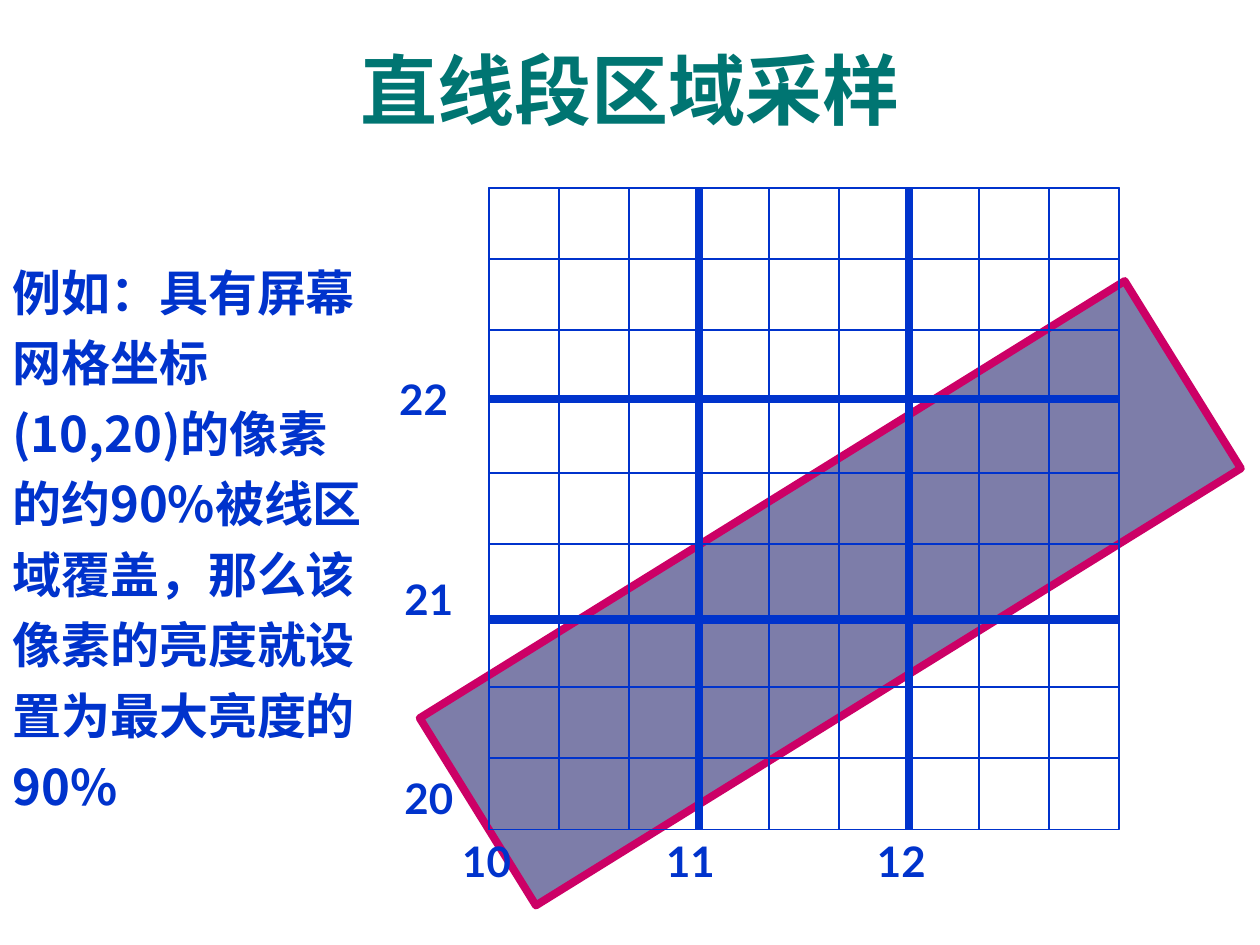
from lxml.etree import SubElement
from pptx import Presentation
from pptx.dml.color import RGBColor
from pptx.enum.shapes import MSO_CONNECTOR, MSO_SHAPE
from pptx.enum.text import MSO_ANCHOR, MSO_AUTO_SIZE, PP_ALIGN
from pptx.oxml.ns import qn
from pptx.util import Pt

COLORS = {"title": "007572", "blue": "0033CC", "band": "7D7DA9", "edge": "CC0066"}
CJK_FONT = "Noto Sans CJK SC"

GRID_LEFT, GRID_TOP = 279.5, 107.25
CELL_WIDTH, CELL_HEIGHT = 40, 40.75
CELLS = 9
GRID_RIGHT = GRID_LEFT + CELLS * CELL_WIDTH
GRID_BOTTOM = GRID_TOP + CELLS * CELL_HEIGHT

PIXEL_COLUMNS = [GRID_LEFT + 3 * CELL_WIDTH, GRID_LEFT + 6 * CELL_WIDTH]
PIXEL_ROWS = [228.25, 354.25]
AXIS_LABELS = [
    ("20", 224, 438), ("21", 224, 324), ("22", 221, 210),
    ("10", 257, 474), ("11", 373.5, 474), ("12", 494, 474),
]


def rgb(name):
    return RGBColor.from_string(COLORS[name])


def add_rectangle(shapes, left, top, width, height, line_color, line_width, fill=None):
    rectangle = shapes.add_shape(
        MSO_SHAPE.RECTANGLE, Pt(left), Pt(top), Pt(width), Pt(height))
    rectangle.shadow.inherit = False
    if fill:
        rectangle.fill.solid()
        rectangle.fill.fore_color.rgb = rgb(fill)
    else:
        rectangle.fill.background()
    rectangle.line.color.rgb = rgb(line_color)
    rectangle.line.width = Pt(line_width)
    return rectangle


def add_line(shapes, x1, y1, x2, y2, width):
    line = shapes.add_connector(
        MSO_CONNECTOR.STRAIGHT, Pt(x1), Pt(y1), Pt(x2), Pt(y2))
    line.line.color.rgb = rgb("blue")
    line.line.width = Pt(width)
    SubElement(line._element.spPr, qn("a:effectLst"))


def add_horizontal(shapes, y, width):
    add_line(shapes, GRID_LEFT, y, GRID_RIGHT, y, width)


def add_vertical(shapes, x, width):
    add_line(shapes, x, GRID_TOP, x, GRID_BOTTOM, width)


def add_text(shapes, text, left, top, width, height, size, font, color="blue", wrap=True):
    frame = shapes.add_textbox(Pt(left), Pt(top), Pt(width), Pt(height)).text_frame
    frame.word_wrap = wrap
    frame.auto_size = MSO_AUTO_SIZE.SHAPE_TO_FIT_TEXT
    frame.text = text
    run = frame.paragraphs[0].runs[0]
    run.font.size = Pt(size)
    run.font.bold = True
    run.font.color.rgb = rgb(color)
    run.font.name = font
    SubElement(run.font._element, qn("a:ea"), typeface=CJK_FONT)
    return frame


def add_grid(shapes):
    for row in range(CELLS):
        for column in range(CELLS):
            add_rectangle(shapes, GRID_LEFT + column * CELL_WIDTH,
                          GRID_TOP + row * CELL_HEIGHT,
                          CELL_WIDTH, CELL_HEIGHT, "blue", 0.75)
    for index in range(CELLS + 1):
        add_horizontal(shapes, GRID_TOP + index * CELL_HEIGHT, 1)
        add_vertical(shapes, GRID_LEFT + index * CELL_WIDTH, 1)
    for x in PIXEL_COLUMNS:
        add_vertical(shapes, x, 4.5)
    for y in PIXEL_ROWS:
        add_horizontal(shapes, y, 4.5)


def main():
    presentation = Presentation()
    presentation.slide_width, presentation.slide_height = Pt(720), Pt(540)
    slide = presentation.slides.add_slide(presentation.slide_layouts[6])

    title = add_text(slide.shapes, "直线段区域采样", 60, 20, 600, 60.5, 44,
                     "Times New Roman", "title")
    title.vertical_anchor = MSO_ANCHOR.BOTTOM
    title.paragraphs[0].alignment = PP_ALIGN.CENTER

    diagram = slide.shapes.add_group_shape().shapes
    line_band = add_rectangle(diagram, 237.5, 276, 474, 126, "edge", 4.5, "band")
    line_band.rotation = 328.2
    add_grid(diagram)
    for label, left, top in AXIS_LABELS:
        add_text(diagram, label, left, top, 42.5, 36, 24, "Lato", wrap=False)

    explanation = add_text(
        slide.shapes,
        "例如：具有屏幕网格坐标(10,20)的像素的约90%被线区域覆盖，那么该像素的亮度就设置为最大亮度的90%",
        0, 139.5, 218, 330, 28, CJK_FONT)
    explanation.paragraphs[0].line_spacing = 1.2

    presentation.save("out.pptx")


if __name__ == "__main__":
    main()
